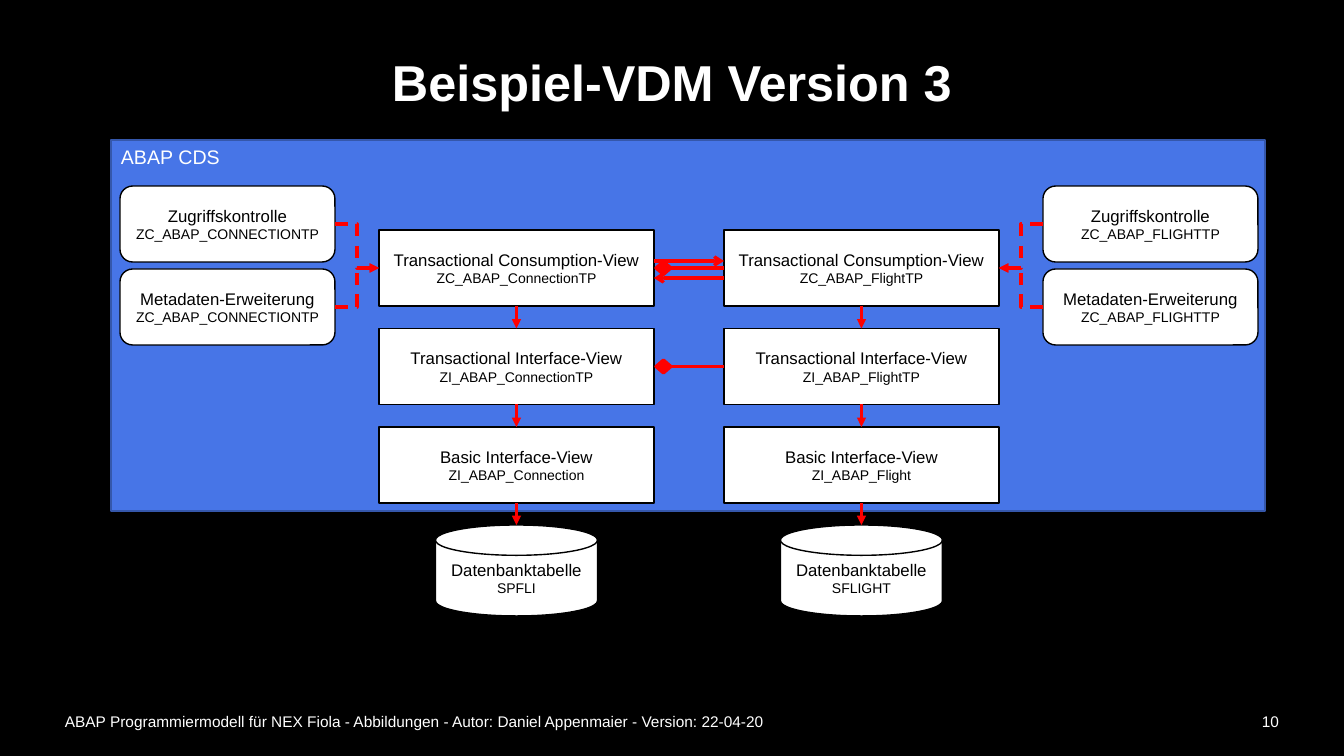
from lxml import etree
from pptx import Presentation
from pptx.dml.color import RGBColor
from pptx.enum.dml import MSO_LINE
from pptx.enum.shapes import MSO_CONNECTOR, MSO_SHAPE
from pptx.enum.text import MSO_ANCHOR, PP_ALIGN
from pptx.oxml.ns import qn
from pptx.util import Emu, Pt

BLACK = RGBColor(0x00, 0x00, 0x00)
WHITE = RGBColor(0xFF, 0xFF, 0xFF)
BLUE = RGBColor(0x47, 0x75, 0xE7)
DARK_BLUE = RGBColor(0x35, 0x57, 0xAB)
RED = RGBColor(0xFF, 0x00, 0x00)
FONT = "Arial"

# Content
TITLE = "Beispiel-VDM Version 3"
FOOTER = ("ABAP Programmiermodell für NEX Fiola - Abbildungen - "
          "Autor: Daniel Appenmaier - Version: 22-04-20")
PAGE = "10"
PANEL = "ABAP CDS"
VIEWS = ["Transactional Consumption-View", "Transactional Interface-View",
         "Basic Interface-View"]
EXTENSIONS = ["Zugriffskontrolle", "Metadaten-Erweiterung"]
COLUMNS = [
    dict(views=["ZC_ABAP_ConnectionTP", "ZI_ABAP_ConnectionTP", "ZI_ABAP_Connection"],
         table="SPFLI", extension="ZC_ABAP_CONNECTIONTP", left=379, side_left=120),
    dict(views=["ZC_ABAP_FlightTP", "ZI_ABAP_FlightTP", "ZI_ABAP_Flight"],
         table="SFLIGHT", extension="ZC_ABAP_FLIGHTTP", left=724, side_left=1043),
]

# Layout in pixels
BOX_H = 76
VIEW_W, VIEW_TOP, VIEW_STEP = 275, 230, 98.5
SIDE_W, SIDE_TOP, SIDE_STEP = 215, 186, 83
TABLE_W, TABLE_H, TABLE_TOP = 162, 91, 525
DIAMOND_W, DIAMOND_H = 13, 15
TOP, LEFT, BOTTOM, RIGHT = range(4)  # connection sites


def px(value):
    return Emu(round(value * 914400 / 100.8))


prs = Presentation()
prs.slide_width, prs.slide_height = px(1344), px(756)
slide = prs.slides.add_slide(prs.slide_layouts[6])
slide.background.fill.solid()
slide.background.fill.fore_color.rgb = BLACK
shapes = slide.shapes


def write(shape, lines, color, align=PP_ALIGN.LEFT, anchor=MSO_ANCHOR.MIDDLE, bold=False):
    """Fill a shape with (text, size) lines."""
    frame = shape.text_frame
    frame.word_wrap = True
    frame.vertical_anchor = anchor
    for i, (text, size) in enumerate(lines):
        paragraph = frame.add_paragraph() if i else frame.paragraphs[0]
        paragraph.alignment = align
        run = paragraph.add_run()
        run.text = text
        run.font.name, run.font.size, run.font.bold = FONT, Pt(size), bold
        run.font.color.rgb = color


def add_label(box, text, size, **style):
    label = shapes.add_textbox(*map(px, box))
    write(label, [(text, size)], WHITE, **style)
    return label


def add_shape(kind, box, fill=WHITE, line=BLACK, width=1):
    shape = shapes.add_shape(kind, *map(px, box))
    shape.shadow.inherit = False
    shape.fill.solid()
    shape.fill.fore_color.rgb = fill
    shape.line.color.rgb = line
    shape.line.width = Pt(width)
    return shape


def add_node(kind, box, heading, name):
    node = add_shape(kind, box)
    write(node, [(heading, 12), (name, 10)], BLACK, PP_ALIGN.CENTER)
    return node


def add_line(start=(0, 0), end=(0, 0), glue_from=None, glue_to=None,
             kind=MSO_CONNECTOR.STRAIGHT, arrow=None, dashed=False):
    line = shapes.add_connector(kind, *map(px, (*start, *end)))
    if glue_from:
        line.begin_connect(*glue_from)
    if glue_to:
        line.end_connect(*glue_to)
    line.line.color.rgb = RED
    line.line.width = Pt(2.25)
    if dashed:
        line.line.dash_style = MSO_LINE.DASH
    properties = line._element.spPr
    if arrow:
        etree.SubElement(properties.find(qn("a:ln")), qn("a:tailEnd"), type=arrow)
    etree.SubElement(properties, qn("a:effectLst"))


# Title and footer
title = add_label((55, 25, 1234, 121), TITLE, 36, align=PP_ALIGN.CENTER, bold=True)
title.text_frame.paragraphs[0].line_spacing = 0.9
add_label((55, 701, 1153, 40), FOOTER, 11)
add_label((1208, 701, 81, 40), PAGE, 11, align=PP_ALIGN.RIGHT)

# Panel
panel = add_shape(MSO_SHAPE.RECTANGLE, (111, 140, 1154, 371), BLUE, DARK_BLUE)
write(panel, [(PANEL, 14)], WHITE, anchor=MSO_ANCHOR.TOP)

# Views, database table and extensions of each column
for column in COLUMNS:
    left, side_left = column["left"], column["side_left"]
    center = left + VIEW_W / 2
    views = [add_node(MSO_SHAPE.RECTANGLE,
                      (left, VIEW_TOP + i * VIEW_STEP, VIEW_W, BOX_H), heading, name)
             for i, (heading, name) in enumerate(zip(VIEWS, column["views"]))]
    add_node(MSO_SHAPE.FLOWCHART_MAGNETIC_DISK,
             (center - TABLE_W / 2, TABLE_TOP, TABLE_W, TABLE_H),
             "Datenbanktabelle", column["table"])
    for upper, lower in zip(views, views[1:]):
        add_line(glue_from=(upper, BOTTOM), glue_to=(lower, TOP), arrow="triangle")
    add_line(end=(center, TABLE_TOP), glue_from=(views[-1], BOTTOM), arrow="triangle")

    out, into = (RIGHT, LEFT) if side_left < left else (LEFT, RIGHT)
    for i, heading in enumerate(EXTENSIONS):
        extension = add_node(MSO_SHAPE.ROUNDED_RECTANGLE,
                             (side_left, SIDE_TOP + i * SIDE_STEP, SIDE_W, BOX_H),
                             heading, column["extension"])
        add_line(glue_from=(extension, out), glue_to=(views[0], into),
                 kind=MSO_CONNECTOR.ELBOW, arrow="triangle", dashed=True)

# Associations and compositions between the columns
gap_left, gap_right = COLUMNS[0]["left"] + VIEW_W, COLUMNS[1]["left"]
add_line((gap_left, 261), (gap_right, 261), arrow="arrow")
add_line((gap_right, 278), (gap_left, 278), arrow="arrow")
for i in range(2):
    middle = VIEW_TOP + i * VIEW_STEP + BOX_H / 2
    diamond_left = gap_left + 3
    add_line((diamond_left + DIAMOND_W, middle), (gap_right, middle))
    diamond = add_shape(MSO_SHAPE.DIAMOND,
                        (diamond_left, middle - DIAMOND_H / 2, DIAMOND_W, DIAMOND_H),
                        RED, RED, 2.25)
    diamond.rotation = 270

prs.save("out.pptx")
